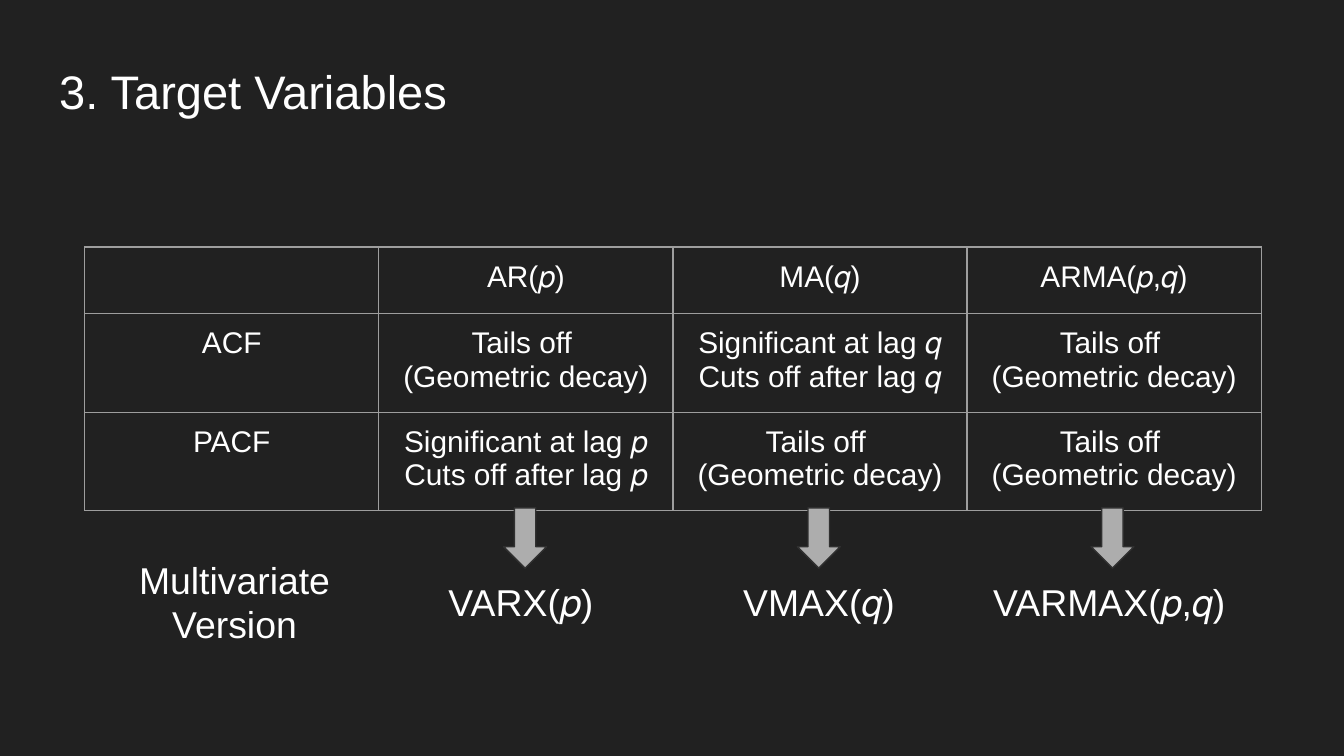
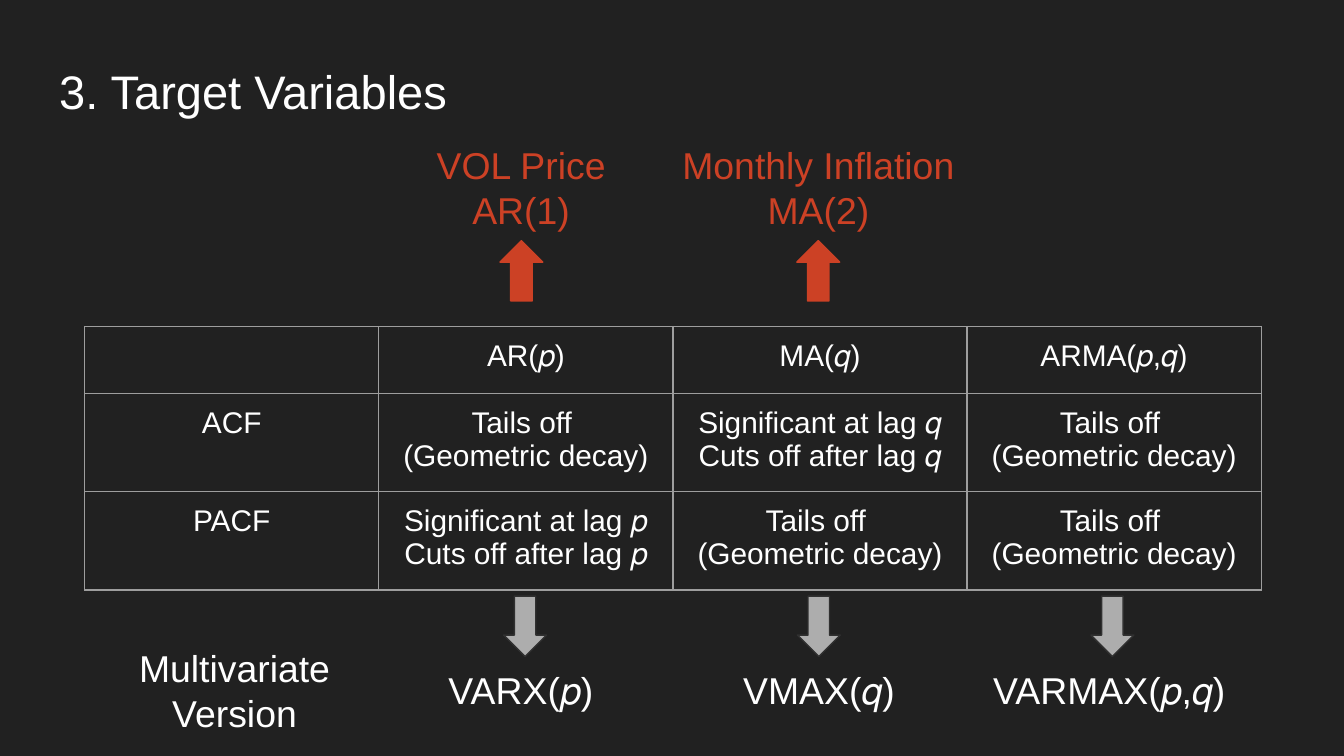
from lxml import etree
from pptx import Presentation
from pptx.dml.color import RGBColor
from pptx.enum.shapes import MSO_SHAPE
from pptx.enum.text import MSO_ANCHOR, PP_ALIGN
from pptx.oxml.ns import qn
from pptx.util import Cm, Pt

DOWN, UP = MSO_SHAPE.DOWN_ARROW, MSO_SHAPE.UP_ARROW
LEFT, CENTER = PP_ALIGN.LEFT, PP_ALIGN.CENTER
TOP, MIDDLE = MSO_ANCHOR.TOP, MSO_ANCHOR.MIDDLE

DARK = RGBColor(0x21, 0x21, 0x21)
WHITE = RGBColor(0xFF, 0xFF, 0xFF)
BORDER = RGBColor(0x9E, 0x9E, 0x9E)
GRAY = RGBColor(0xAD, 0xAD, 0xAD)
OUTLINE = RGBColor(0x30, 0x30, 0x30)
RED = RGBColor(0xCC, 0x41, 0x25)

FONT = "Arial"
INSET = Cm(0.25)
LINE_WIDTH = Pt(0.75)
LABEL_HEIGHT = 1.6
COLUMN_WIDTH = 5.56
ROW_HEIGHTS = (1.21, 1.86, 1.86)

DECAY = "Tails off \n(Geometric decay)"
CUT_P = "Significant at lag 𝑝\nCuts off after lag 𝑝"
CUT_Q = "Significant at lag 𝑞\nCuts off after lag 𝑞"
ROWS = (
    ("", "AR(𝑝)", "MA(𝑞)", "ARMA(𝑝,𝑞)"),
    ("ACF", DECAY, CUT_Q, DECAY),
    ("PACF", CUT_P, DECAY, DECAY),
)
VERSIONS = (
    ("Multivariate Version", 1.73, 5.41),
    ("VARX(𝑝)", 7.14, 5.41),
    ("VMAX(𝑞)", 12.7, 5.56),
    ("VARMAX(𝑝,𝑞)", 18.26, 5.41),
)
TARGETS = (
    ("Monthly Inflation\nMA(2)", 11.84, 15.06),
    ("VOL Price\nAR(1)", 6.22, 9.45),
)


def write(tf, text, size=20, color=WHITE, align=CENTER):
    """Fill a text frame with one paragraph per line of text."""
    for i, line in enumerate(text.split("\n")):
        p = tf.add_paragraph() if i else tf.paragraphs[0]
        p.alignment = align
        r = p.add_run()
        r.text = line
        r.font.name = FONT
        r.font.size = Pt(size)
        r.font.color.rgb = color


def add_text(s, text, x, y, w, h=LABEL_HEIGHT, anchor=MIDDLE, **style):
    """Add a wrapping text box, measured in centimetres."""
    tf = s.shapes.add_textbox(Cm(x), Cm(y), Cm(w), Cm(h)).text_frame
    tf.word_wrap = True
    tf.vertical_anchor = anchor
    tf.margin_left = tf.margin_right = tf.margin_top = tf.margin_bottom = INSET
    write(tf, text, **style)


def add_arrow(s, kind, x, y, fill, line):
    """Add a block arrow."""
    sp = s.shapes.add_shape(kind, Cm(x), Cm(y), Cm(0.81), Cm(1.14))
    sp.shadow.inherit = False
    sp.fill.solid()
    sp.fill.fore_color.rgb = fill
    sp.line.color.rgb = line
    sp.line.width = LINE_WIDTH


def set_borders(cell):
    """Draw a thin line on all four sides of a cell."""
    tc_pr = cell._tc.get_or_add_tcPr()
    for i, side in enumerate(("lnL", "lnR", "lnT", "lnB")):
        ln = etree.Element(qn("a:" + side), w=str(LINE_WIDTH))
        fill = etree.SubElement(ln, qn("a:solidFill"))
        etree.SubElement(fill, qn("a:srgbClr"), val=str(BORDER))
        tc_pr.insert(i, ln)


def add_pattern_table(s, y):
    """Add the table of ACF and PACF patterns for each model."""
    frame = s.shapes.add_table(len(ROWS), len(ROWS[0]), Cm(1.6), Cm(y),
                               Cm(COLUMN_WIDTH * len(ROWS[0])), Cm(sum(ROW_HEIGHTS)))
    table = frame.table
    table.first_row = table.horz_banding = False
    for column in table.columns:
        column.width = Cm(COLUMN_WIDTH)
    for row, height, texts in zip(table.rows, ROW_HEIGHTS, ROWS):
        row.height = Cm(height)
        for cell, text in zip(row.cells, texts):
            cell.fill.background()
            cell.margin_left = cell.margin_right = INSET
            cell.margin_top = cell.margin_bottom = INSET
            set_borders(cell)
            write(cell.text_frame, text, size=16)


def add_versions(s, y):
    """Add the multivariate model names with the arrows leading to them."""
    for text, x, w in VERSIONS:
        add_text(s, text, x, y, w)
    for i in range(3):
        add_arrow(s, DOWN, 9.52 + 5.55 * i, y - 0.97, GRAY, OUTLINE)


def add_targets(s):
    """Add the chosen target variables above their models."""
    for text, x, arrow_x in TARGETS:
        add_text(s, text, x, 2.74, 7.26, color=RED)
        add_arrow(s, UP, arrow_x, 4.55, RED, RED)


def add_slide(prs, table_y, versions_y):
    """Add a dark slide with the title, the table and the model names."""
    s = prs.slides.add_slide(prs.slide_layouts[6])
    s.background.fill.solid()
    s.background.fill.fore_color.rgb = DARK
    add_text(s, "3. Target Variables", 0.87, 0.94, 23.67, anchor=TOP, size=25.2, align=LEFT)
    add_pattern_table(s, table_y)
    add_versions(s, versions_y)
    return s


def main():
    """Build and save both slides."""
    prs = Presentation()
    prs.slide_width, prs.slide_height = Cm(25.4), Cm(14.29)
    add_slide(prs, 4.67, 10.57)
    s = add_slide(prs, 6.17, 12.24)
    add_targets(s)
    prs.save("out.pptx")


if __name__ == "__main__":
    main()
